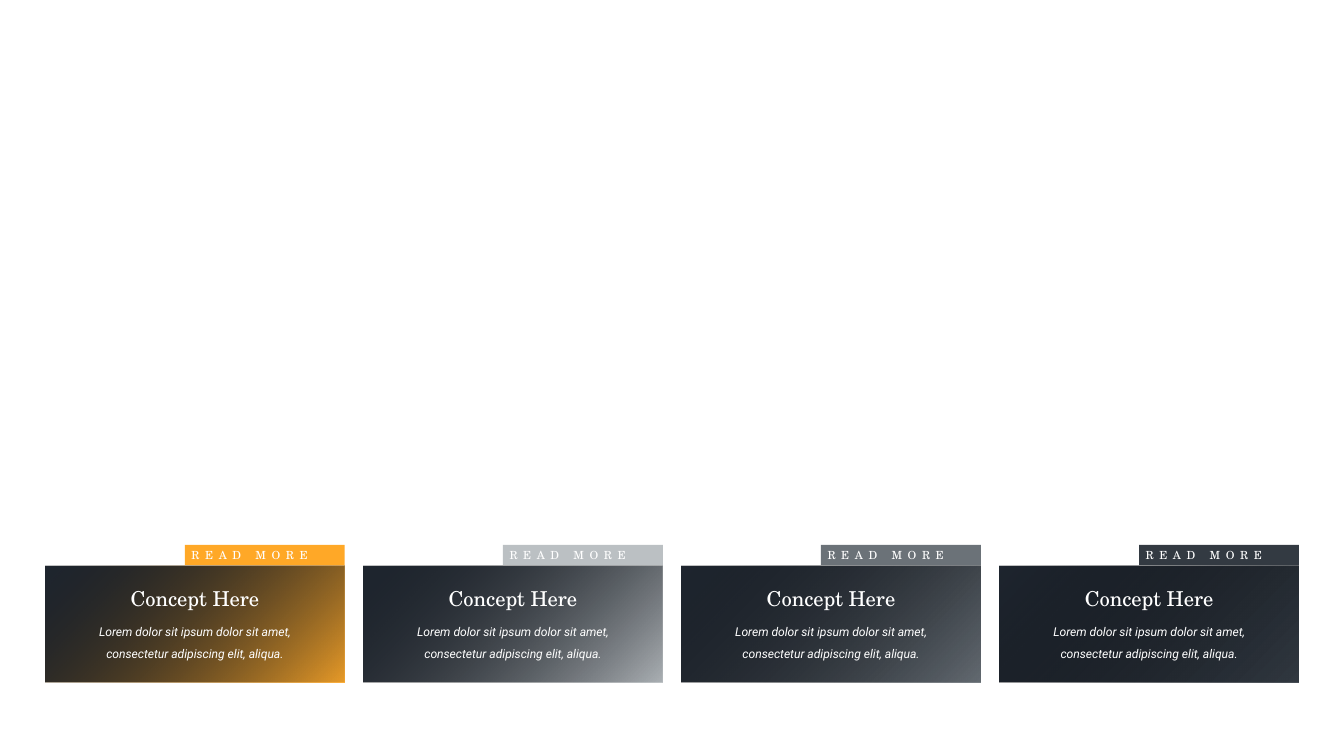
"""Build a slide with a row of four gradient concept cards, each with a read-more tag."""
from dataclasses import dataclass

from lxml.etree import fromstring
from pptx import Presentation
from pptx.dml.color import RGBColor
from pptx.enum.shapes import MSO_SHAPE
from pptx.enum.text import MSO_ANCHOR, MSO_AUTO_SIZE, PP_ALIGN
from pptx.oxml.ns import qn
from pptx.util import Inches, Pt


@dataclass(frozen=True)
class Theme:
    accents: tuple = ("FFA827", "BBC0C3", "6B7278", "333A42")
    base: str = "232B36"
    shade: str = "000000"
    text: str = "FFFFFF"
    serif: str = "TeX Gyre Schola"
    sans: str = "Roboto"
    title_size: int = 22
    body_size: int = 13
    tag_size: int = 12
    tag_spacing: int = 600


theme = Theme()
WIDTH, HEIGHT = 20, 11.25
MARGIN = 0.67
CARD_WIDTH, CARD_HEIGHT, CARD_TOP = 4.46, 1.73, 8.42
TITLE_WIDTH, TITLE_HEIGHT, TITLE_TOP = 3.04, 0.47, 8.67
BODY_WIDTH, BODY_HEIGHT, BODY_TOP = 3.53, 0.76, 9.14
TAG_WIDTH, TAG_HEIGHT, TAG_TOP = 2.38, 0.3, 8.11
PITCH = (WIDTH - 2 * MARGIN - CARD_WIDTH) / (len(theme.accents) - 1)

GRADIENT = """<a:gradFill xmlns:a="http://schemas.openxmlformats.org/drawingml/2006/main" rotWithShape="1">
<a:gsLst>
<a:gs pos="0"><a:srgbClr val="{accent}"><a:alpha val="90000"/></a:srgbClr></a:gs>
<a:gs pos="100000"><a:srgbClr val="{shade}"><a:alpha val="13000"/></a:srgbClr></a:gs>
</a:gsLst>
<a:path path="circle"><a:fillToRect l="100000" t="100000"/></a:path>
</a:gradFill>"""


def add_block(page, left, top, width, height, color=None):
    block = page.shapes.add_shape(
        MSO_SHAPE.RECTANGLE, Inches(left), Inches(top), Inches(width), Inches(height)
    )
    block.shadow.inherit = False
    block.line.fill.background()
    if color:
        block.fill.solid()
        block.fill.fore_color.rgb = RGBColor.from_string(color)
    else:
        block.fill.background()
    return block


def write(box, text, font, size, align, italic=None):
    frame = box.text_frame
    frame.word_wrap = True
    frame.auto_size = MSO_AUTO_SIZE.SHAPE_TO_FIT_TEXT
    frame.vertical_anchor = MSO_ANCHOR.TOP
    para = frame.paragraphs[0]
    para.alignment = align
    span = para.add_run()
    span.text = text
    span.font.name = font
    span.font.size = Pt(size)
    span.font.italic = italic
    span.font.color.rgb = RGBColor.from_string(theme.text)
    return para, span


deck = Presentation()
deck.slide_width, deck.slide_height = Inches(WIDTH), Inches(HEIGHT)
page = deck.slides.add_slide(deck.slide_layouts[6])

for column, accent in enumerate(theme.accents):
    left = MARGIN + column * PITCH
    center = left + CARD_WIDTH / 2

    add_block(page, left, CARD_TOP, CARD_WIDTH, CARD_HEIGHT, theme.base)
    glow = add_block(page, left, CARD_TOP, CARD_WIDTH, CARD_HEIGHT)
    properties = glow.element.spPr
    gradient = fromstring(GRADIENT.format(accent=accent, shade=theme.shade))
    properties.replace(properties.find(qn("a:noFill")), gradient)

    body = page.shapes.add_textbox(
        Inches(center - BODY_WIDTH / 2), Inches(BODY_TOP), Inches(BODY_WIDTH), Inches(BODY_HEIGHT)
    )
    para, span = write(
        body, "Lorem dolor sit ipsum dolor sit amet, consectetur adipiscing elit, aliqua.",
        theme.sans, theme.body_size, PP_ALIGN.CENTER, True,
    )
    para.line_spacing = 1.5

    title = page.shapes.add_textbox(
        Inches(center - TITLE_WIDTH / 2), Inches(TITLE_TOP), Inches(TITLE_WIDTH), Inches(TITLE_HEIGHT)
    )
    write(title, "Concept Here", theme.serif, theme.title_size, PP_ALIGN.CENTER)

    tag = add_block(page, left + CARD_WIDTH - TAG_WIDTH, TAG_TOP, TAG_WIDTH, TAG_HEIGHT, accent)
    para, span = write(tag, "READ MORE", theme.serif, theme.tag_size, PP_ALIGN.LEFT)
    span.font._element.set("spc", str(theme.tag_spacing))

deck.save("out.pptx")
